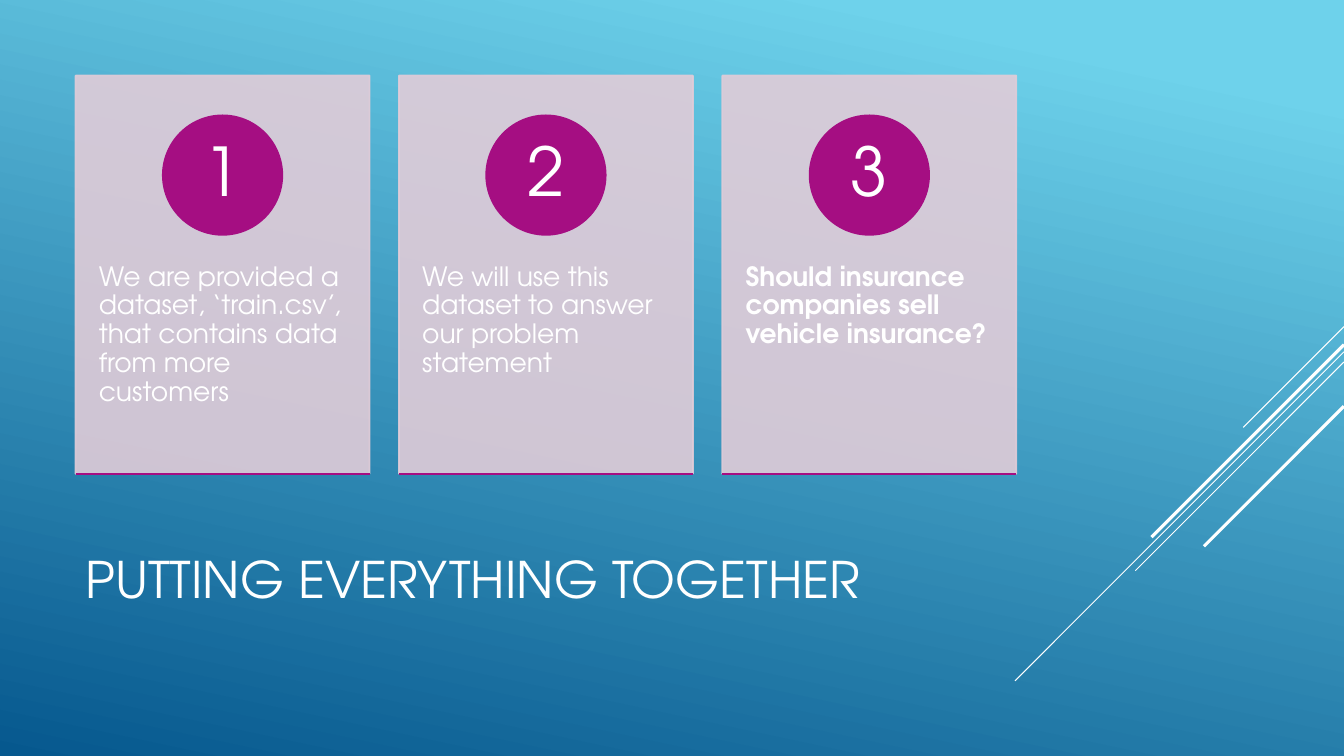
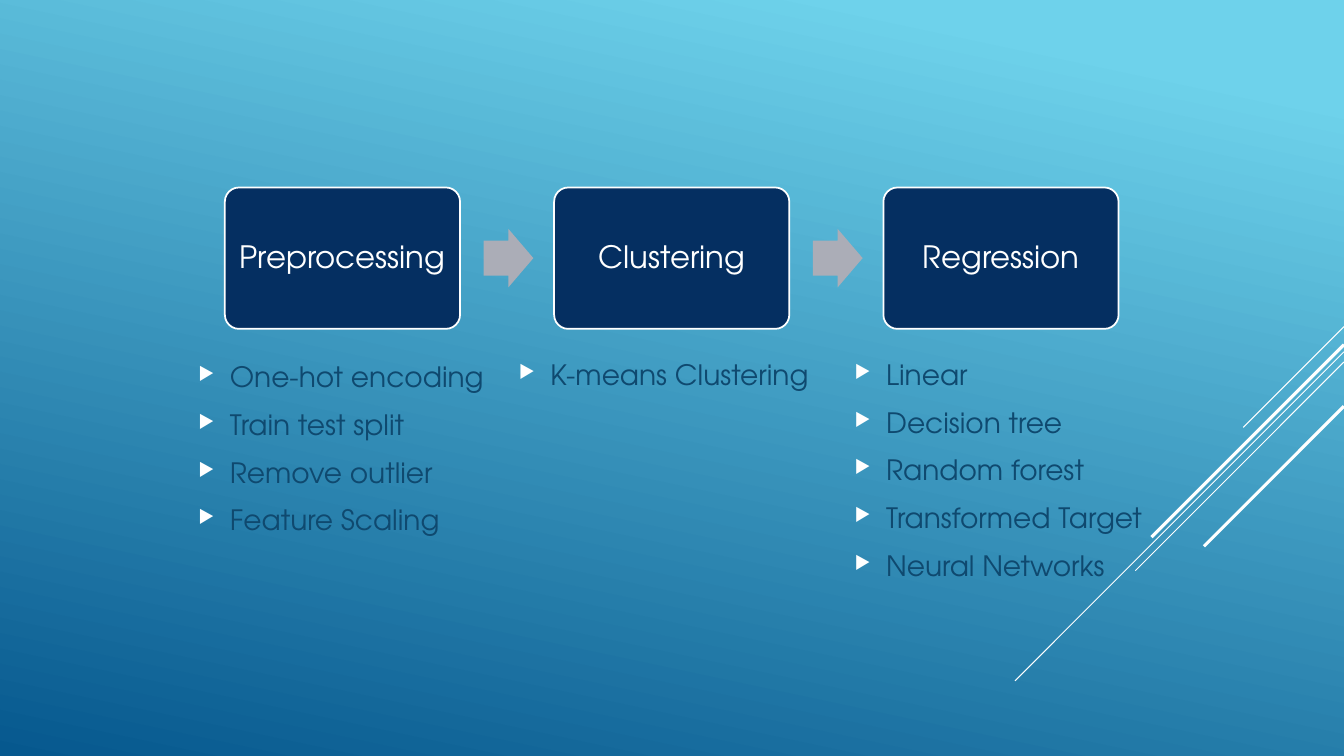
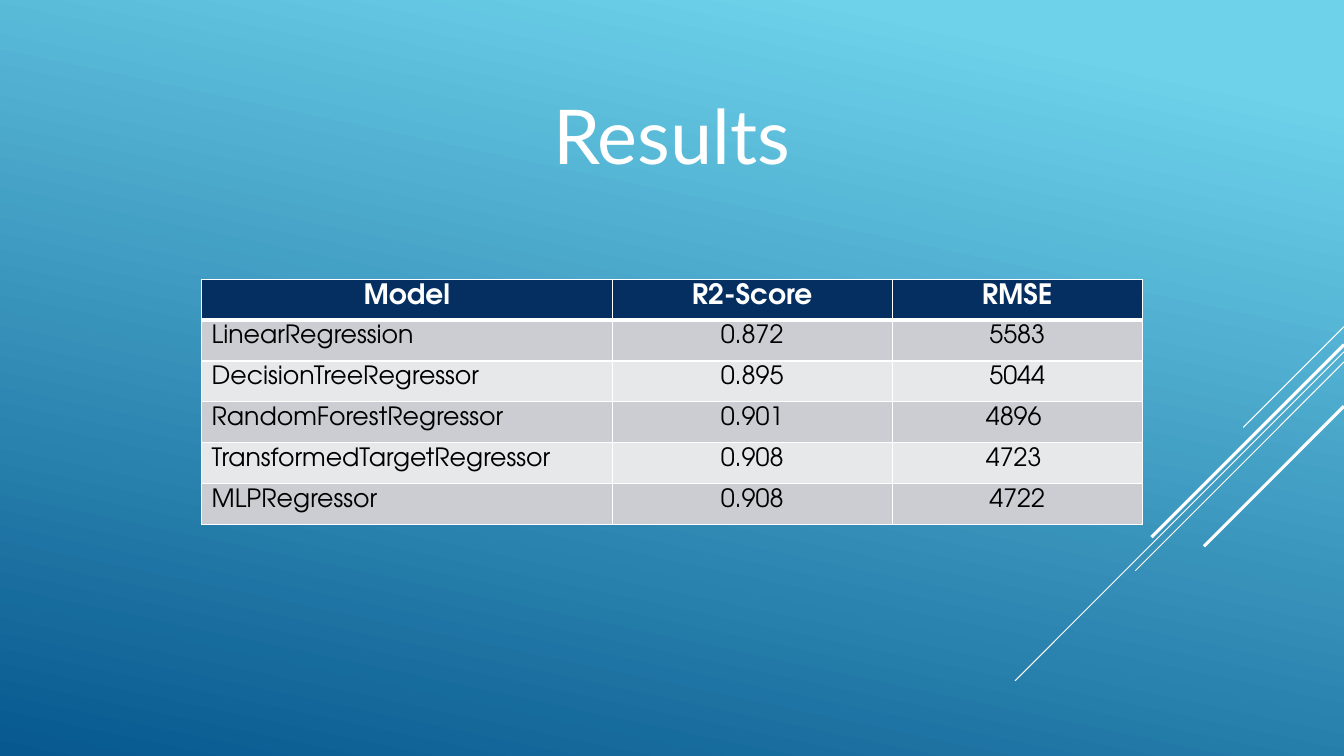
from lxml import etree
from pptx import Presentation
from pptx.dml.color import RGBColor
from pptx.enum import shapes, text
from pptx.oxml.ns import qn
from pptx.util import Pt

COLORS = {
    "sky": "6ED2EB", "ocean": "06588E", "white": "FFFFFF", "black": "000000",
    "card": "E1CCD8", "magenta": "A50E82", "navy": "052F61", "arrow": "ABADB7",
    "list": "0F496F", "band_dark": "CCCDD2", "band_light": "E7E8EA",
}
BODY_FONT = "TeX Gyre Adventor"
RESULTS_FONT = "Lato"
WIDTH, HEIGHT = 960, 540
TITLE_ONLY, BLANK = 5, 6
MARGINS = (7.2, 3.6, 7.2, 3.6)

# Top of each 45-degree ray on the right edge, its run to the left, line width
RAYS = [(233.3, 72, 0.75), (251.3, 235, 0.75), (258.6, 149, 0.75),
        (246.2, 137.5, 2.25), (290.2, 100, 2.25)]

CARDS = [
    ("We are provided a dataset, ‘train.csv’, that contains data from more customers", False),
    ("We will use this dataset to answer our problem statement", False),
    ("Should insurance companies sell vehicle insurance?", True),
]
STEPS = ["Preprocessing", "Clustering", "Regression"]
STEP_LISTS = [
    ((134.6, 206.6, 233.3, 226.8),
     ["One-hot encoding", "Train test split", "Remove outlier", "Feature Scaling"]),
    ((363.6, 246.2, 233.3, 41.8), ["K-means Clustering"]),
    ((603.4, 246.2, 277.9, 178.6),
     ["Linear", "Decision tree", "Random forest", "Transformed Target", "Neural Networks"]),
]
RESULTS = [
    ("Model", "R2-Score", "RMSE"),
    ("LinearRegression", "0.872", "5583"),
    ("DecisionTreeRegressor", "0.895", "5044"),
    ("RandomForestRegressor", "0.901", "4896 "),
    ("TransformedTargetRegressor", "0.908", "4723 "),
    ("MLPRegressor", "0.908", "4722"),
]


def rgb(name):
    return RGBColor.from_string(COLORS[name])


def points(*lengths):
    return [Pt(length) for length in lengths]


def style_paragraph(paragraph, size, color="white", bold=False, align="LEFT",
                    font=BODY_FONT, spacing=None):
    paragraph.alignment = getattr(text.PP_ALIGN, align)
    if spacing:
        paragraph.line_spacing = spacing
    for run in paragraph.runs:
        run.font.name = font
        run.font.size = Pt(size)
        run.font.bold = bold
        run.font.color.rgb = rgb(color)


def set_margins(target, margins):
    """Set left, top, right and bottom margins of a text frame or a cell."""
    (target.margin_left, target.margin_top,
     target.margin_right, target.margin_bottom) = points(*margins)


def set_frame(frame, anchor, margins):
    frame.word_wrap = True
    frame.auto_size = text.MSO_AUTO_SIZE.NONE
    frame.vertical_anchor = getattr(text.MSO_ANCHOR, anchor)
    set_margins(frame, margins)


def add_block(slide, kind, box, fill, line=None):
    shape = slide.shapes.add_shape(getattr(shapes.MSO_SHAPE, kind), *points(*box))
    shape.shadow.inherit = False
    shape.fill.solid()
    shape.fill.fore_color.rgb = rgb(fill)
    if line:
        shape.line.color.rgb = rgb(line)
        shape.line.width = Pt(1.25)
    else:
        shape.line.fill.background()
    return shape


def add_line(slide, start, end, color, width):
    line = slide.shapes.add_connector(shapes.MSO_CONNECTOR.STRAIGHT,
                                      *points(*start, *end))
    line.line.color.rgb = rgb(color)
    line.line.width = Pt(width)
    etree.SubElement(line._element.spPr, qn("a:effectLst"))


def set_opacity(shape, percent):
    """Apply one opacity to both the fill and the outline."""
    for color in shape._element.spPr.iter(qn("a:srgbClr")):
        etree.SubElement(color, qn("a:alpha"), val=str(percent * 1000))


def set_background(master):
    fill = master.background.fill
    fill.gradient()
    fill.gradient_angle = 258
    for stop, name, position in zip(fill.gradient_stops, ("sky", "ocean"), (0.1, 1)):
        stop.color.rgb = rgb(name)
        stop.position = position


def add_slide(presentation, layout):
    slide = presentation.slides.add_slide(presentation.slide_layouts[layout])
    for top, run, width in RAYS:
        add_line(slide, (WIDTH, top), (WIDTH - run, top + run), "white", width)
    return slide


def set_title(slide, words, box, size, **style):
    title = slide.shapes.title
    title.left, title.top, title.width, title.height = points(*box)
    title.text_frame.text = words
    set_frame(title.text_frame, "MIDDLE", MARGINS)
    style_paragraph(title.text_frame.paragraphs[0], size, **style)


def add_card(slide, box, number, words, bold):
    left, top, width, height = box
    card = add_block(slide, "RECTANGLE", box, "card", "card")
    set_opacity(card, 90)
    card.text_frame.text = words
    set_frame(card.text_frame, "TOP", (16.6, 134, 16.6, 26))
    style_paragraph(card.text_frame.paragraphs[0], 19, bold=bold, spacing=0.9)

    diameter = 0.3 * height
    circle = add_block(slide, "OVAL", (left + (width - diameter) / 2, top + 0.1 * height,
                                       diameter, diameter), "magenta", "magenta")
    circle.text_frame.text = str(number)
    set_frame(circle.text_frame, "MIDDLE", (6.6, 1, 6.6, 1))
    style_paragraph(circle.text_frame.paragraphs[0], 48, align="CENTER", spacing=0.9)

    bottom = top + height
    add_line(slide, (left, bottom), (left + width, bottom), "magenta", 1.25)


def add_process(slide, box, steps):
    """Row of rounded steps, with an arrow in each gap of 0.4 step widths."""
    left, top, total, height = box
    width = total / (1.4 * len(steps) - 0.4)
    arrow_width, arrow_height = 0.212 * width, 0.248 * width
    for index, words in enumerate(steps):
        x = left + 1.4 * width * index
        if index:
            arrow = add_block(slide, "RIGHT_ARROW",
                              (x - 0.3 * width, top + (height - arrow_height) / 2,
                               arrow_width, arrow_height), "arrow")
            arrow.adjustments[0] = 0.6
        step = add_block(slide, "ROUNDED_RECTANGLE", (x, top, width, height),
                         "navy", "white")
        step.adjustments[0] = 0.1
        step.text_frame.text = words
        set_frame(step.text_frame, "MIDDLE", (6.6,) * 4)
        style_paragraph(step.text_frame.paragraphs[0], 22, align="CENTER", spacing=0.9)


def add_bullet(paragraph):
    properties = paragraph._p.get_or_add_pPr()
    properties.set("marL", str(Pt(22.5)))
    properties.set("indent", str(-Pt(22.5)))
    color = etree.SubElement(properties, qn("a:buClr"))
    etree.SubElement(color, qn("a:srgbClr"), val=COLORS["white"])
    etree.SubElement(properties, qn("a:buSzPct"), val="65000")
    etree.SubElement(properties, qn("a:buChar"), char="▶")


def add_bullet_list(slide, box, items):
    frame = slide.shapes.add_textbox(*points(*box)).text_frame
    frame.text = "\n".join(items)
    set_frame(frame, "MIDDLE", MARGINS)
    for paragraph in frame.paragraphs:
        style_paragraph(paragraph, 20, "list")
        paragraph.space_before = Pt(4)
        paragraph.space_after = Pt(6)
        add_bullet(paragraph)


def set_borders(cell, top, bottom):
    properties = cell._tc.get_or_add_tcPr()
    for side, width in (("L", 1), ("R", 1), ("T", top), ("B", bottom)):
        line = etree.SubElement(properties, qn("a:ln" + side), w=str(Pt(width)))
        fill = etree.SubElement(line, qn("a:solidFill"))
        etree.SubElement(fill, qn("a:srgbClr"), val=COLORS["white"])


def add_results_table(slide, box, rows, column_widths):
    table = slide.shapes.add_table(len(rows), len(column_widths), *points(*box)).table
    table.horz_banding = False
    for column, width in zip(table.columns, column_widths):
        column.width = Pt(width)
    for r, values in enumerate(rows):
        table.rows[r].height = Pt(box[3] / len(rows))
        header = r == 0
        fill = "navy" if header else ("band_light", "band_dark")[r % 2]
        for c, value in enumerate(values):
            cell = table.cell(r, c)
            set_borders(cell, 3 if r == 1 else 1, 3 if header else 1)
            cell.fill.solid()
            cell.fill.fore_color.rgb = rgb(fill)
            cell.vertical_anchor = text.MSO_ANCHOR.TOP
            set_margins(cell, (7.2, 3.6, 7.2, 0))
            cell.text_frame.text = value
            style_paragraph(cell.text_frame.paragraphs[0], 20 if header else 18,
                            "white" if header else "black", header,
                            "CENTER" if header or c else "LEFT")


def build_summary_slide(presentation):
    slide = add_slide(presentation, TITLE_ONLY)
    set_title(slide, "PUTTING EVERYTHING TOGETHER", (54, 353.5, 672, 119), 36)
    width, gap = 210, 21
    for index, (words, bold) in enumerate(CARDS):
        add_card(slide, (54 + index * (width + gap), 54, width, 284.4),
                 index + 1, words, bold)


def build_process_slide(presentation):
    slide = add_slide(presentation, BLANK)
    add_process(slide, (160.6, 133.9, 638.4, 101), STEPS)
    for box, items in STEP_LISTS:
        add_bullet_list(slide, box, items)


def build_results_slide(presentation):
    slide = add_slide(presentation, TITLE_ONLY)
    set_title(slide, "Results", (203, 28.8, 553.7, 142.6), 54,
              align="CENTER", font=RESULTS_FONT, spacing=0.9)
    add_results_table(slide, (144, 199.4, 672, 175.5), RESULTS, (293.3, 200, 178.7))


def main():
    presentation = Presentation()
    presentation.slide_width, presentation.slide_height = points(WIDTH, HEIGHT)
    set_background(presentation.slide_master)
    build_summary_slide(presentation)
    build_process_slide(presentation)
    build_results_slide(presentation)
    presentation.save("out.pptx")


if __name__ == "__main__":
    main()
